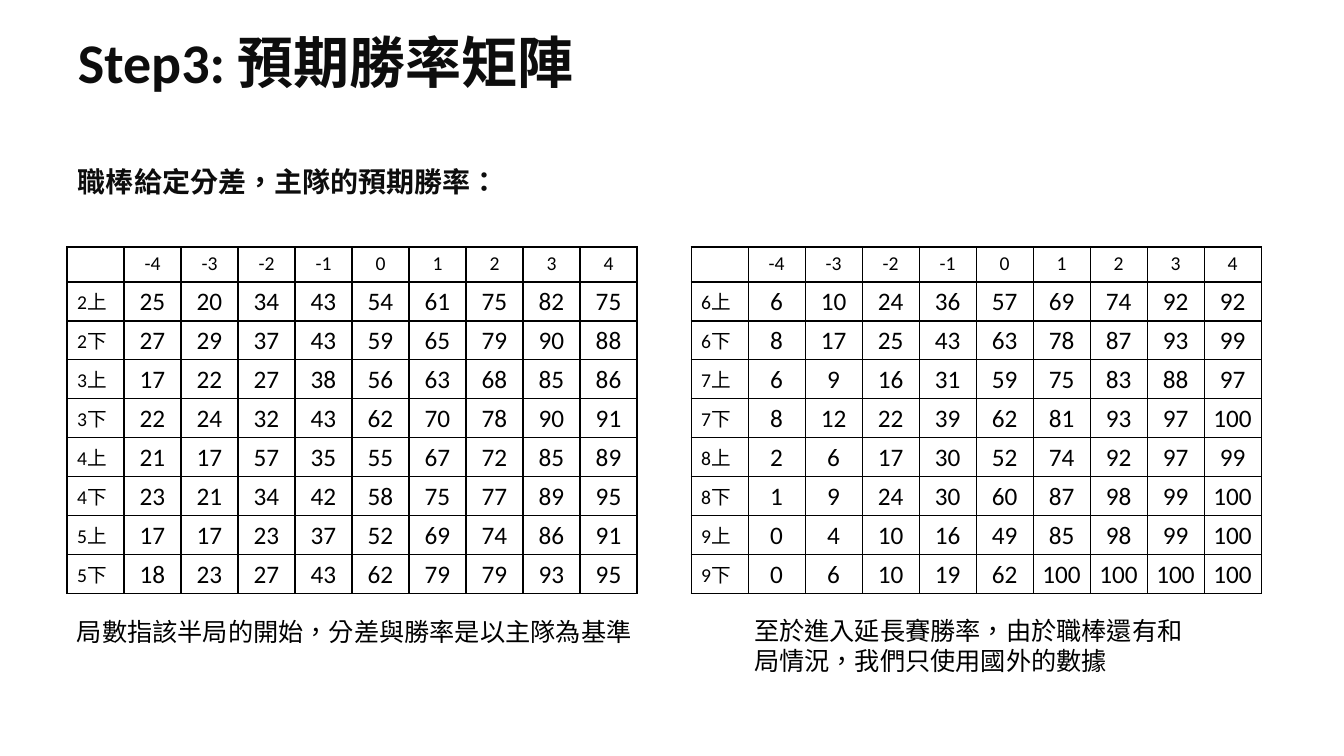
from lxml import etree
from pptx import Presentation, util as u
from pptx.dml.color import RGBColor
from pptx.enum import text
from pptx.oxml import ns

EARLY = """25 20 34 43 54 61 75 82 75
27 29 37 43 59 65 79 90 88
17 22 27 38 56 63 68 85 86
22 24 32 43 62 70 78 90 91
21 17 57 35 55 67 72 85 89
23 21 34 42 58 75 77 89 95
17 17 23 37 52 69 74 86 91
18 23 27 43 62 79 79 93 95"""

LATE = """6 10 24 36 57 69 74 92 92
8 17 25 43 63 78 87 93 99
6 9 16 31 59 75 83 88 97
8 12 22 39 62 81 93 97 100
2 6 17 30 52 74 92 97 99
1 9 24 30 60 87 98 99 100
0 4 10 16 49 85 98 99 100
0 6 10 19 62 100 100 100 100"""


def px(n):
    return u.Emu(n * 9071)


def color(code):
    return RGBColor.from_string(code)


def matrix(first, odds):
    rows = [[""] + [str(gap) for gap in range(-4, 5)]]
    for i, line in enumerate(odds.splitlines()):
        rows.append([f"{first + i // 2}{'上下'[i % 2]}"] + line.split())
    return rows


class Deck:
    latin = "Calibri"
    asian = "Noto Sans CJK SC"
    ink = "000000"
    dark = "0D0D0D"

    def __init__(self):
        self.prs = Presentation()
        self.prs.slide_width = u.Inches(13.33)
        self.prs.slide_height = u.Inches(7.5)
        self.slide = self.prs.slides.add_slide(self.prs.slide_layouts[6])

    def style(self, para, size, ink, face, bold=False):
        for run in para.runs:
            font = run.font
            font.size = u.Pt(size)
            font.bold = bold
            font.name = face
            font.color.rgb = color(ink)
            props = run._r.get_or_add_rPr()
            props.set("lang", "zh-TW")
            etree.SubElement(props, ns.qn("a:ea"), typeface=self.asian)

    def label(self, words, box, size, ink, face, bold=False, line=1.0,
              anchor=text.MSO_ANCHOR.TOP):
        frame = self.slide.shapes.add_textbox(*map(px, box)).text_frame
        frame.word_wrap = True
        frame.vertical_anchor = anchor
        frame.text = words
        para = frame.paragraphs[0]
        para.line_spacing = line
        self.style(para, size, ink, face, bold)

    def border(self, cell):
        props = cell._tc.get_or_add_tcPr()
        for side in ("lnL", "lnR", "lnT", "lnB"):
            edge = etree.SubElement(props, ns.qn(f"a:{side}"), w=str(u.Pt(1)))
            fill = etree.SubElement(edge, ns.qn("a:solidFill"))
            etree.SubElement(fill, ns.qn("a:srgbClr"), val=self.ink)
        cell.fill.background()

    def cell(self, cell, words, row, col):
        self.border(cell)
        cell.text = words
        para = cell.text_frame.paragraphs[0]
        if col:
            para.alignment = text.PP_ALIGN.CENTER
        if row and col:
            cell.vertical_anchor = text.MSO_ANCHOR.MIDDLE
            cell.margin_left = cell.margin_right = cell.margin_top = px(1)
            cell.margin_bottom = 0
        self.style(para, 18 if row and col else 14, self.ink, self.latin)
        if not words:
            etree.SubElement(para._p, ns.qn("a:endParaRPr"), sz="1400")

    def table(self, rows, left, top, wide, head, high):
        down, across = len(rows), len(rows[0])
        grid = self.slide.shapes.add_table(
            down, across, px(left), px(top),
            px(wide * across), px(head + high * (down - 1))).table
        grid.first_row = grid.horz_banding = False
        for col in grid.columns:
            col.width = px(wide)
        for r, row in enumerate(rows):
            grid.rows[r].height = px(high if r else head)
            for c, words in enumerate(row):
                self.cell(grid.cell(r, c), words, r, c)


def main():
    deck = Deck()
    deck.label("Step3: 預期勝率矩陣", (68, 21, 1210, 88), 40, deck.dark,
               deck.latin, True, 0.9, text.MSO_ANCHOR.MIDDLE)
    deck.label("職棒給定分差，主隊的預期勝率：", (68, 163, 1210, 40), 20,
               deck.dark, deck.latin, True, 0.9)
    for left, first, odds in ((67, 2, EARLY), (691, 6, LATE)):
        deck.table(matrix(first, odds), left, 247, 57, 35, 39)
    deck.label("局數指該半局的開始，分差與勝率是以主隊為基準",
               (67, 611, 665, 40), 18, deck.ink, deck.asian)
    deck.label("至於進入延長賽勝率，由於職棒還有和局情況，我們只使用國外的數據",
               (744, 610, 463, 72), 18, deck.ink, deck.asian)
    deck.prs.save("out.pptx")


if __name__ == "__main__":
    main()
